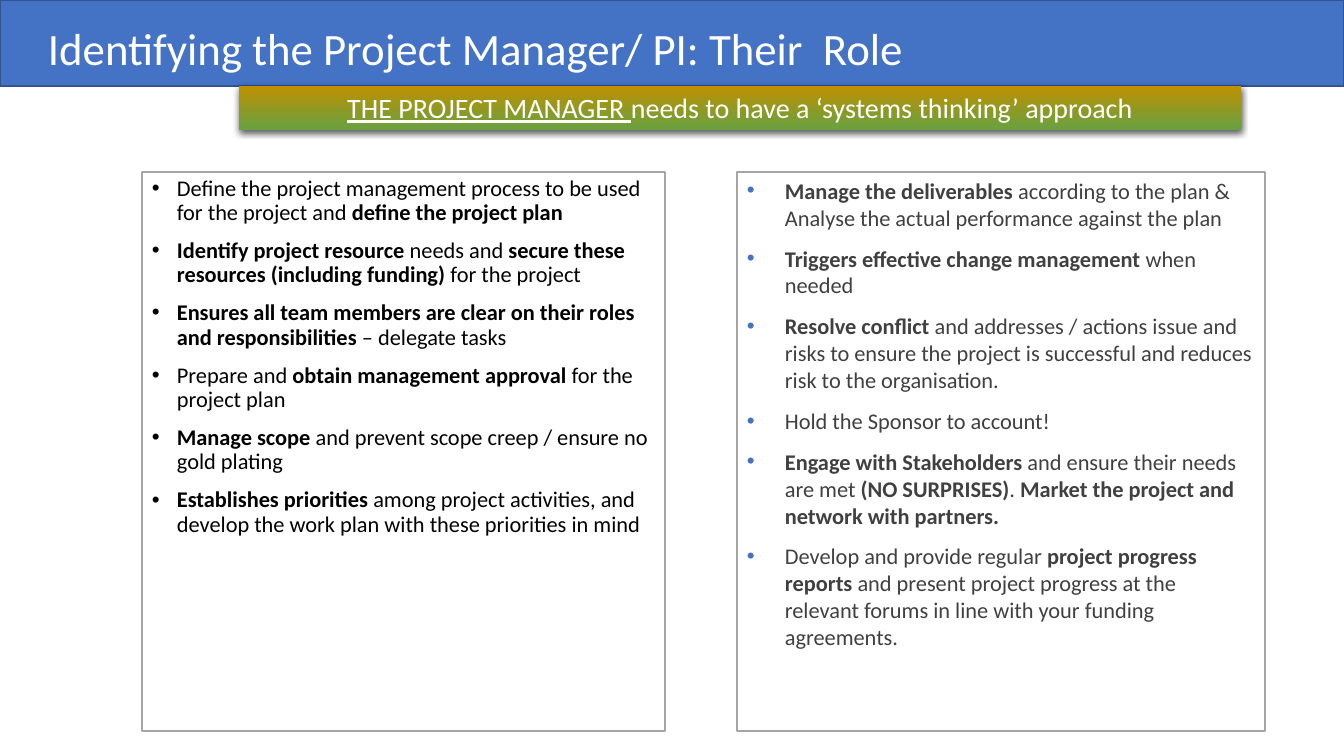
from lxml import etree
from pptx import Presentation
from pptx import util as u
from pptx.dml.color import RGBColor
from pptx.enum import shapes, text
from pptx.oxml.ns import qn

SCALE = 914400 / 100.8  # EMU in one px
FONT = "Calibri"
COLORS = {
    "blue": "4472C4", "navy": "325491", "white": "FFFFFF", "grey": "A5A5A5",
    "black": "000000", "dark": "404040", "gold": "BF9000", "green": "68A142",
}

# Asterisks enclose the emphasised words
LEFT_DUTIES = [
    "Define the project management process to be used for the project and *define the project plan*",
    "*Identify project resource *needs and *secure these resources (including funding) *for the project",
    "*Ensures all team members are clear on their roles and responsibilities *– delegate tasks",
    "Prepare and *obtain management approval *for the project plan",
    "*Manage scope *and prevent scope creep / ensure no gold plating",
    "*Establishes priorities *among project activities, and develop the work plan "
    "with these priorities in mind",
]
RIGHT_DUTIES = [
    "*Manage the deliverables *according to the plan & Analyse the actual performance against the plan",
    "*Triggers effective change management *when needed",
    "*Resolve conflict *and addresses / actions issue and risks to ensure the project is "
    "successful and reduces risk to the organisation.",
    "Hold the Sponsor to account!",
    "*Engage with Stakeholders* and ensure their needs are met *(NO SURPRISES)*. "
    "*Market the project and network with partners.*",
    "Develop and provide regular *project progress reports *and present project progress at "
    "the relevant forums in line with your funding agreements.",
]


def px(n):
    return u.Emu(round(n * SCALE))


def rgb(name):
    return RGBColor.from_string(COLORS[name])


def set_attrs(obj, values):
    for name, value in values.items():
        setattr(obj, name, value)


def add_rect(s, box, fill=None, line=None):
    sp = s.shapes.add_shape(shapes.MSO_SHAPE.RECTANGLE, *map(px, box))
    sp.shadow.inherit = False
    if fill:
        sp.fill.solid()
        sp.fill.fore_color.rgb = rgb(fill)
    if line:
        sp.line.color.rgb = rgb(line)
        sp.line.width = u.Pt(1)
    else:
        sp.line.fill.background()
    return sp


def add_runs(p, content, size, color, emphasis="bold"):
    for i, part in enumerate(content.split("*")):
        if part:
            r = p.add_run()
            r.text = part
            set_attrs(r.font, {"size": u.Pt(size), "name": FONT, emphasis: i % 2 == 1})
            r.font.color.rgb = rgb(color)


def add_bullet(p, indent, color):
    pPr = p._p.get_or_add_pPr()
    pPr.set("marL", str(px(indent)))
    pPr.set("indent", str(-px(indent)))
    buClr = etree.SubElement(pPr, qn("a:buClr"))
    etree.SubElement(buClr, qn("a:srgbClr"), val=COLORS[color])
    etree.SubElement(pPr, qn("a:buFont"), typeface="Arial")
    etree.SubElement(pPr, qn("a:buChar"), char="•")


def add_title(s, box, content):
    tf = s.shapes.add_textbox(*map(px, box)).text_frame
    set_attrs(tf, {"word_wrap": True, "vertical_anchor": text.MSO_ANCHOR.MIDDLE})
    p = tf.paragraphs[0]
    p.line_spacing = 0.9
    add_runs(p, content, 32, "white")


def add_banner(s, box, content):
    sp = add_rect(s, box)
    sp.fill.gradient()
    sp.fill.gradient_angle = 270
    for stop, color in zip(sp.fill.gradient_stops, ("gold", "green")):
        stop.color.rgb = rgb(color)
    # Soft shadow straight below
    effects = sp._element.spPr.find(qn("a:effectLst"))
    shadow = etree.SubElement(
        effects, qn("a:outerShdw"), blurRad=str(u.Pt(4.5)), dist=str(u.Pt(1.5)),
        dir="5400000", algn="ctr", rotWithShape="0")
    clr = etree.SubElement(shadow, qn("a:srgbClr"), val=COLORS["black"])
    etree.SubElement(clr, qn("a:alpha"), val="63000")
    tf = sp.text_frame
    set_attrs(tf, {"word_wrap": True, "vertical_anchor": text.MSO_ANCHOR.TOP})
    p = tf.paragraphs[0]
    p.alignment = text.PP_ALIGN.CENTER
    add_runs(p, content, 20, "white", "underline")


def add_duties(s, box, duties, indent, color, bullet_color, spacing):
    tf = add_rect(s, box, "white", "grey").text_frame
    set_attrs(tf, {"word_wrap": True, "vertical_anchor": text.MSO_ANCHOR.TOP})
    for i, duty in enumerate(duties):
        p = tf.add_paragraph() if i else tf.paragraphs[0]
        add_bullet(p, indent, bullet_color)
        set_attrs(p, {"alignment": text.PP_ALIGN.LEFT, "line_spacing": spacing,
                      "space_before": u.Pt(10 if i else 0)})
        add_runs(p, duty, 16, color)


def main():
    prs = Presentation()
    set_attrs(prs, {"slide_width": px(1344), "slide_height": px(756)})
    s = prs.slides.add_slide(prs.slide_layouts[6])

    # Heading band
    add_rect(s, (0, 0, 1344, 86), "blue", "navy")
    add_title(s, (38, -20, 1099, 141), "Identifying the Project Manager/ PI: Their  Role")

    # Key message
    add_banner(s, (239, 86, 1002, 44),
               "*THE PROJECT MANAGER *needs to have a ‘systems thinking’ approach")

    # Two columns of duties
    add_duties(s, (142, 172, 523, 559), LEFT_DUTIES, 25, "black", "black", 0.9)
    add_duties(s, (737, 172, 528, 559), RIGHT_DUTIES, 38, "dark", "blue", 1.0)

    prs.save("out.pptx")


if __name__ == "__main__":
    main()
